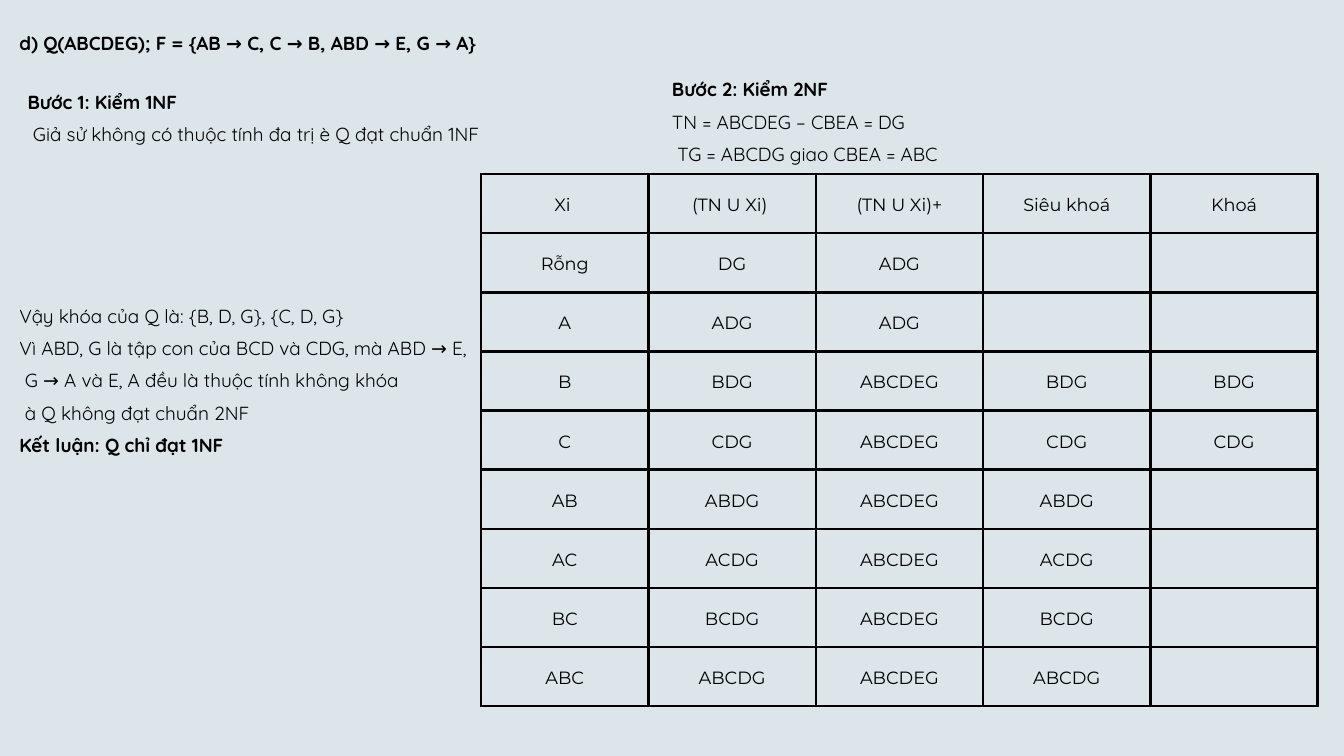
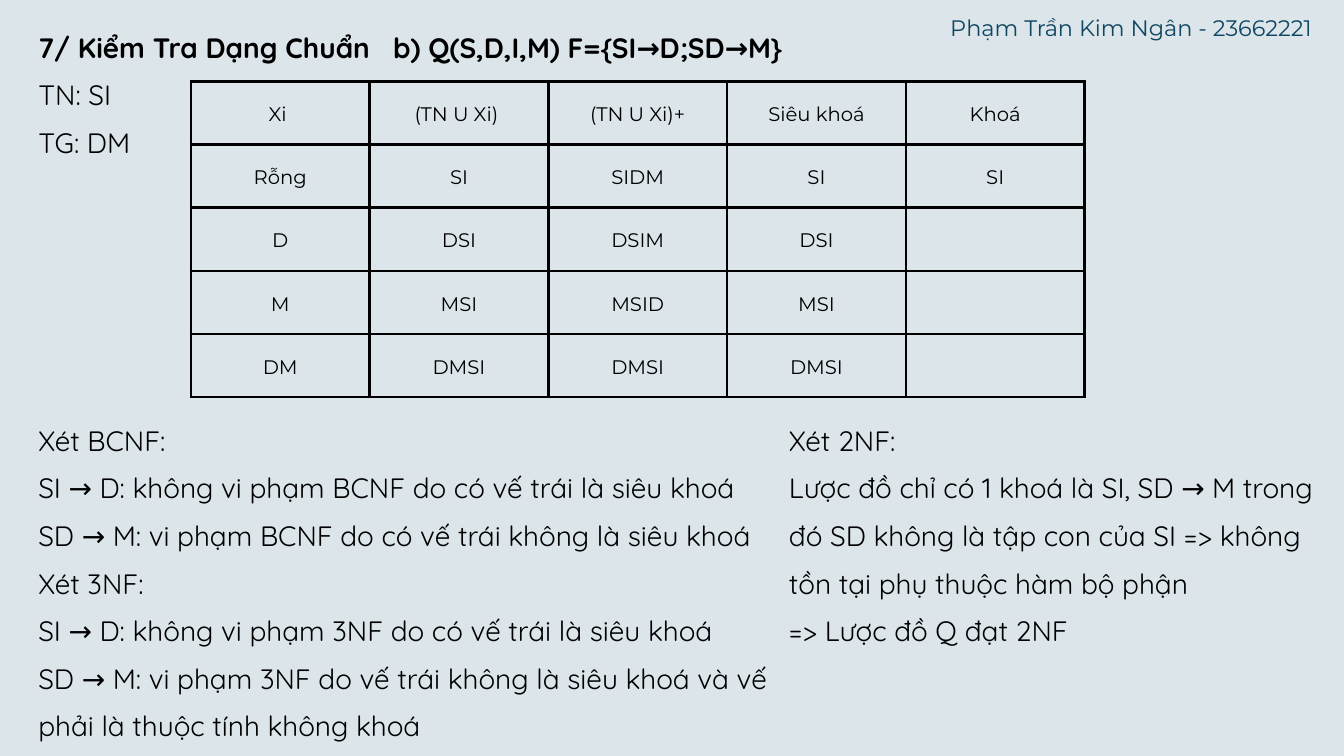
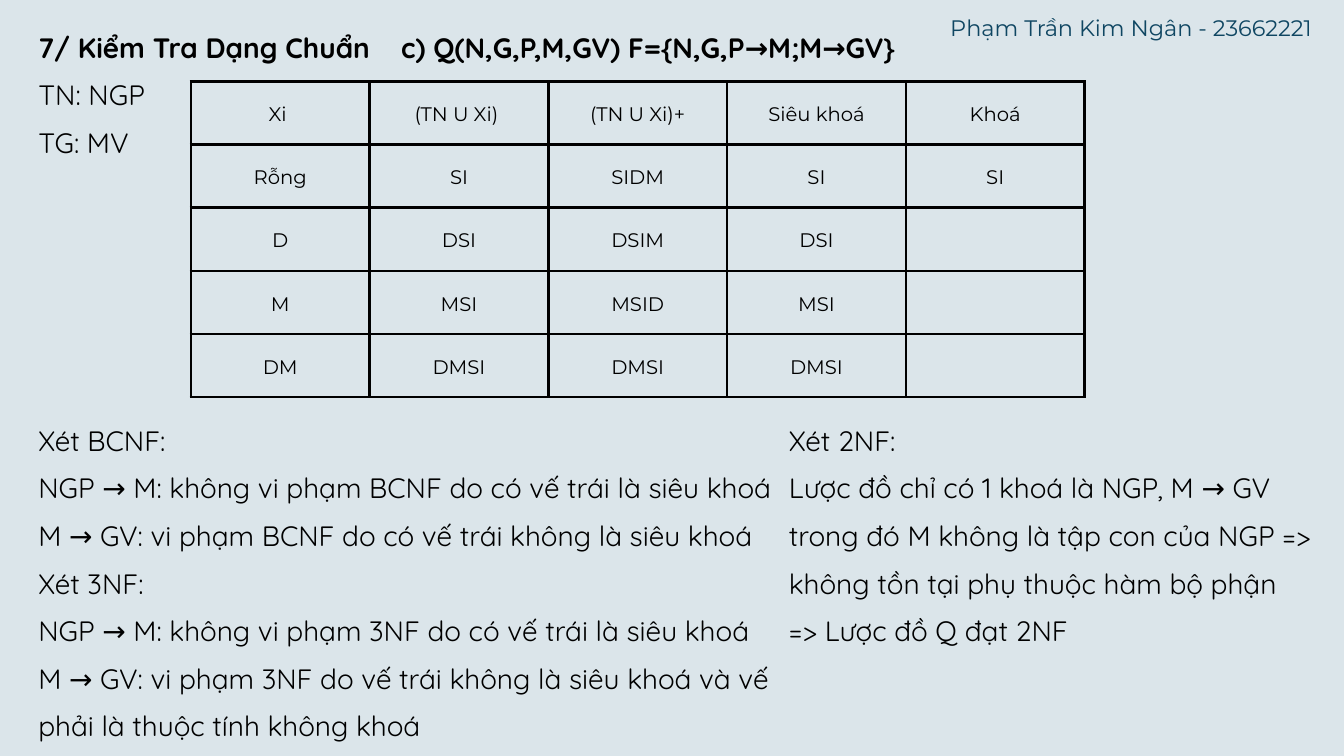
from lxml.etree import SubElement
from pptx import Presentation
from pptx.dml.color import RGBColor
from pptx.enum.text import MSO_ANCHOR, MSO_AUTO_SIZE, PP_ALIGN
from pptx.oxml.ns import qn
from pptx.util import Inches, Pt

COLORS = {"background": "DBE5EA", "ink": "000000", "author": "0F4662"}
BODY_FONT, TABLE_FONT = "Quicksand", "Montserrat"
HEADER = ["Xi ", "(TN U Xi) ", "(TN U Xi)+", "Siêu khoá", "Khoá"]
CLOSURES_D = [
    HEADER,
    ["Rỗng", "DG", "ADG", "", ""],
    ["A", "ADG", "ADG", "", ""],
    ["B", "BDG", "ABCDEG", "BDG", "BDG"],
    ["C", "CDG", "ABCDEG", "CDG", "CDG"],
    ["AB", "ABDG", "ABCDEG", "ABDG", ""],
    ["AC", "ACDG", "ABCDEG", "ACDG", ""],
    ["BC", "BCDG", "ABCDEG", "BCDG", ""],
    ["ABC", "ABCDG", "ABCDEG", "ABCDG", ""],
]
CLOSURES_SI = [
    HEADER,
    ["Rỗng", "SI", "SIDM", "SI", "SI"],
    ["D", "DSI", "DSIM", "DSI", ""],
    ["M", "MSI", "MSID", "MSI", ""],
    ["DM", "DMSI", "DMSI", "DMSI", ""],
]


def add_slide(prs):
    """Add a blank slide with the shared background."""
    s = prs.slides.add_slide(prs.slide_layouts[6])
    s.background.fill.solid()
    s.background.fill.fore_color.rgb = RGBColor.from_string(COLORS["background"])
    return s


def style(p, size, spacing, font=BODY_FONT, color="ink", bold=False):
    """Set the line spacing in points and the font of a paragraph."""
    p.line_spacing = Pt(spacing)
    p.font.name = font
    p.font.size = Pt(size)
    p.font.bold = bold
    p.font.color.rgb = RGBColor.from_string(COLORS[color])


def add_tab(p, position):
    """Add a left tab stop to a paragraph."""
    tabs = SubElement(p._p.get_or_add_pPr(), qn("a:tabLst"))
    SubElement(tabs, qn("a:tab"), pos=str(Inches(position)), algn="l")


def add_text(s, box, lines, size, spacing, bold=(), indented=(), tab=None, **look):
    """Add a text box; bold and indented hold line numbers."""
    tf = s.shapes.add_textbox(*map(Inches, box)).text_frame
    tf.word_wrap = True
    tf.auto_size = MSO_AUTO_SIZE.SHAPE_TO_FIT_TEXT
    tf.margin_left = tf.margin_right = tf.margin_top = tf.margin_bottom = 0
    for i, line in enumerate(lines):
        p = tf.paragraphs[0] if i == 0 else tf.add_paragraph()
        p.add_run().text = line
        if i in indented:
            p._p.get_or_add_pPr().set("marL", str(Inches(0.08)))
        if tab and "\t" in line:
            add_tab(p, tab)
        style(p, size, spacing, bold=i in bold, **look)


def add_borders(cell):
    """Draw a solid line on all four sides of a cell."""
    tcPr = cell._tc.get_or_add_tcPr()
    for side in ("lnL", "lnR", "lnT", "lnB"):
        ln = SubElement(tcPr, qn(f"a:{side}"), w=str(Pt(3)))
        fill = SubElement(ln, qn("a:solidFill"))
        SubElement(fill, qn("a:srgbClr"), val=COLORS["ink"])


def add_closure_table(s, left, top, col_width, row_height, rows, size):
    """Add a table of attribute closures with equal cells."""
    width, height = col_width * len(HEADER), row_height * len(rows)
    frame = s.shapes.add_table(len(rows), len(HEADER), *map(Inches, (left, top, width, height)))
    table = frame.table
    table.first_row = table.horz_banding = False
    for col in table.columns:
        col.width = Inches(col_width)
    for row, texts in zip(table.rows, rows):
        row.height = Inches(row_height)
        for cell, text in zip(row.cells, texts):
            add_borders(cell)
            cell.fill.background()
            cell.vertical_anchor = MSO_ANCHOR.MIDDLE
            cell.margin_left = cell.margin_right = Inches(0.21)
            cell.margin_top = cell.margin_bottom = Inches(0.21)
            p = cell.text_frame.paragraphs[0]
            p.text = text
            p.alignment = PP_ALIGN.CENTER
            style(p, size, size * 1.4, font=TABLE_FONT)


def add_steps_slide(prs):
    """Add the exercise that is solved in two steps."""
    s = add_slide(prs)
    text = {"size": 20.3, "spacing": 34.5}
    add_text(s, (0.29, 0.33, 6.98, 0.44),
             ["d) Q(ABCDEG); F = {AB → C, C → B, ABD → E, G → A}"], bold=[0], **text)
    add_text(s, (0.41, 1.2, 6.76, 0.92),
             ["Bước 1: Kiểm 1NF", "Giả sử không có thuộc tính đa trị è Q đạt chuẩn 1NF"],
             bold=[0], indented=[1], **text)
    add_text(s, (10, 1.02, 6.76, 1.4),
             ["Bước 2: Kiểm 2NF", "TN = ABCDEG – CBEA = DG", "TG = ABCDG giao CBEA = ABC"],
             bold=[0], indented=[2], **text)
    add_closure_table(s, 7.16, 2.59, 2.49, 0.88, CLOSURES_D, 19)
    add_text(s, (0.29, 4.39, 6.72, 2.36),
             ["Vậy khóa của Q là: {B, D, G}, {C, D, G}",
              "Vì ABD, G là tập con của BCD và CDG, mà ABD → E,",
              "G → A và E, A đều là thuộc tính không khóa",
              "à Q không đạt chuẩn 2NF",
              "Kết luận: Q chỉ đạt 1NF"],
             bold=[4], indented=[2, 3], **text)


def add_check_slide(prs, relation, tab, tn, tg, valid, broken, reason):
    """Add an exercise that checks BCNF, 3NF and 2NF."""
    s = add_slide(prs)
    text = {"size": 30, "spacing": 51}
    add_text(s, (0.57, 6.09, 11.17, 4.83),
             ["Xét BCNF:",
              f"{valid}: không vi phạm BCNF do có vế trái là siêu khoá",
              f"{broken}: vi phạm BCNF do có vế trái không là siêu khoá",
              "Xét 3NF:",
              f"{valid}: không vi phạm 3NF do có vế trái là siêu khoá",
              f"{broken}: vi phạm 3NF do vế trái không là siêu khoá và vế phải là thuộc tính không khoá"],
             **text)
    add_closure_table(s, 2.84, 1.21, 2.66, 0.94, CLOSURES_SI, 21)
    add_text(s, (14.14, 0.15, 5.57, 0.43), ["Phạm Trần Kim Ngân - 23662221"],
             24, 33.6, font=TABLE_FONT, color="author")
    add_text(s, (0.57, 0.24, 17.31, 2.04),
             [f"7/ Kiểm Tra Dạng Chuẩn\t{relation}", f"TN: {tn}", f"TG: {tg}"],
             bold=[0], tab=tab, **text)
    add_text(s, (11.74, 6.09, 7.97, 3.54),
             ["Xét 2NF:",
              f"Lược đồ chỉ có 1 khoá là {tn}, {broken} trong đó {reason} không là tập con của {tn}"
              " => không tồn tại phụ thuộc hàm bộ phận",
              "=> Lược đồ Q đạt 2NF"],
             **text)


def main():
    """Build and save the presentation."""
    prs = Presentation()
    prs.slide_width, prs.slide_height = Inches(20), Inches(11.25)
    add_steps_slide(prs)
    add_check_slide(prs, "b) Q(S,D,I,M) F={SI→D;SD→M}", 5.28,
                    "SI", "DM", "SI → D", "SD → M", "SD")
    add_check_slide(prs, "c) Q(N,G,P,M,GV) F={N,G,P→M;M→GV}", 5.4,
                    "NGP", "MV", "NGP → M", "M → GV", "M")
    prs.save("out.pptx")


if __name__ == "__main__":
    main()
